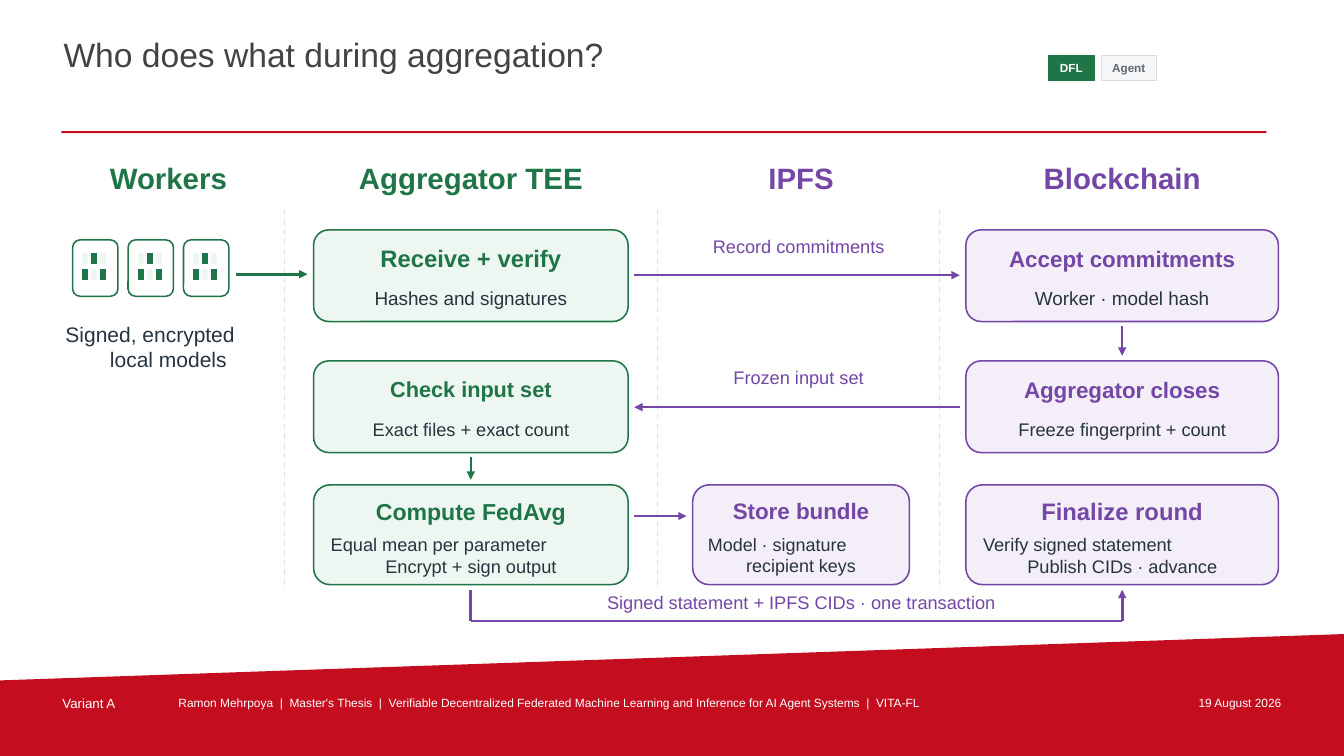
from dataclasses import dataclass

from lxml.etree import SubElement
from pptx import Presentation
from pptx.dml.color import RGBColor as Rgb
from pptx.enum.dml import MSO_LINE as Dash
from pptx.enum.shapes import MSO_CONNECTOR as Wire, MSO_SHAPE as Kind
from pptx.enum.text import MSO_ANCHOR as Anchor, MSO_AUTO_SIZE as Fit, PP_ALIGN as Align
from pptx.oxml.ns import qn
from pptx.util import Inches, Pt


@dataclass(frozen=True)
class Theme:
    """Hold the colours and type sizes of the slide."""
    font: str = "Arial"
    red: str = "C40D1E"
    white: str = "FFFFFF"
    title: str = "434343"
    ink: str = "263440"
    green: str = "207548"
    mint: str = "EDF6F0"
    purple: str = "7446A6"
    lilac: str = "F3EEF8"
    grey: str = "5D6973"
    pale: str = "F5F6F7"
    edge: str = "D7DEE3"
    dash: str = "DCE2E7"
    big: float = 24
    lane: float = 21
    note: float = 15
    label: float = 13
    foot: float = 9.5
    fine: float = 8.5
    tag: float = 8.4


T = Theme()
LANES = {
    "Workers": (0.65, 2.04, T.green, T.mint),
    "Aggregator TEE": (3.11, 3.12, T.green, T.mint),
    "IPFS": (6.87, 2.15, T.purple, T.lilac),
    "Blockchain": (9.58, 3.1, T.purple, T.lilac),
}
ROWS = ((2.28, 0.91), (3.58, 0.91), (4.81, 0.99))
CARDS = (
    ("Aggregator TEE", 0, "Receive + verify", 17, "Hashes and signatures", 13.5),
    ("Blockchain", 0, "Accept commitments", 16, "Worker · model hash", 13.5),
    ("Blockchain", 1, "Aggregator closes", 16, "Freeze fingerprint + count", 13),
    ("Aggregator TEE", 1, "Check input set", 15.5, "Exact files + exact count", 13),
    ("Aggregator TEE", 2, "Compute FedAvg", 16.5,
     "Equal mean per parameter\nEncrypt + sign output", 13),
    ("IPFS", 2, "Store bundle", 16, "Model · signature\nrecipient keys", 12.8),
    ("Blockchain", 2, "Finalize round", 17,
     "Verify signed statement\nPublish CIDs · advance", 13),
)
ARROWS = (
    (2.34, 2.72, 3.05, 2.72, T.green, 2),
    (6.29, 2.73, 9.52, 2.73, T.purple, 1.8),
    (11.13, 3.23, 11.13, 3.53, T.purple, 1.8),
    (9.52, 4.04, 6.29, 4.04, T.purple, 1.8),
    (4.67, 4.53, 4.67, 4.76, T.green, 1.8),
    (6.29, 5.12, 6.81, 5.12, T.purple, 1.8),
    (11.13, 6.16, 11.13, 5.85, T.purple, 2),
)
LABELS = (
    ("Record commitments", (6.52, 2.31, 2.8, 0.27)),
    ("Frozen input set", (6.52, 3.61, 2.8, 0.27)),
    ("Signed statement + IPFS CIDs · one transaction", (5.13, 5.85, 5.63, 0.24)),
)
FOOTER = (
    ("Variant A", (0.6, 6.88, 1, 0.22), T.foot, Align.LEFT),
    ("Ramon Mehrpoya  |  Master's Thesis  |  Verifiable Decentralized Federated "
     "Machine Learning and Inference for AI Agent Systems  |  VITA-FL",
     (1.75, 6.88, 9.35, 0.22), T.fine, Align.LEFT),
    ("19 August 2026", (11.2, 6.88, 1.53, 0.22), T.fine, Align.RIGHT),
)


def write(slide, text, at, *, size, color, bold=False, align=Align.CENTER,
          anchor=Anchor.MIDDLE, pad=0, box=None):
    """Put formatted text in a new text box or in the given one."""
    at = [Inches(v) for v in at]
    if box is None:
        box = slide.shapes.add_textbox(*at)
    else:
        box.left, box.top, box.width, box.height = at
    frame = box.text_frame
    frame.word_wrap = True
    frame.auto_size = Fit.SHAPE_TO_FIT_TEXT
    frame.vertical_anchor = anchor
    frame.margin_left = frame.margin_right = Inches(pad)
    frame.margin_top = frame.margin_bottom = Inches(pad)
    para = frame.paragraphs[0]
    para.alignment = align
    run = para.add_run()
    run.text = text
    run.font.name, run.font.size, run.font.bold = T.font, Pt(size), bold
    run.font.color.rgb = Rgb.from_string(color)


def paint(shape, fill, line=None, width=0.5):
    """Set the fill and outline of a shape."""
    shape.shadow.inherit = False
    shape.fill.solid()
    shape.fill.fore_color.rgb = Rgb.from_string(fill)
    if line is None:
        shape.line.fill.background()
    else:
        shape.line.color.rgb = Rgb.from_string(line)
        shape.line.width = Pt(width)


def block(slide, at, fill, line=None, width=0.5, kind=Kind.RECTANGLE):
    """Draw a preset shape."""
    paint(slide.shapes.add_shape(kind, *(Inches(v) for v in at)), fill, line, width)


def link(slide, ends, color, width, head=False, dash=False):
    """Draw a straight line, with an arrowhead or dashes if asked."""
    wire = slide.shapes.add_connector(Wire.STRAIGHT, *(Inches(v) for v in ends))
    wire.line.color.rgb = Rgb.from_string(color)
    wire.line.width = Pt(width)
    if dash:
        wire.line.dash_style = Dash.DASH
    props = wire.element.spPr
    if head:
        SubElement(props.find(qn("a:ln")), qn("a:tailEnd"), type="triangle")
    SubElement(props, qn("a:effectLst"))


def band(slide):
    """Draw the slanted footer band."""
    pen = slide.shapes.build_freeform(0, Inches(6.75), scale=1.0)
    points = ((13.33, 6.29), (13.33, 7.5), (0, 7.5))
    pen.add_line_segments([(Inches(x), Inches(y)) for x, y in points], close=True)
    paint(pen.convert_to_shape(), T.red)


def tag(slide, text, at, fill, line, color):
    """Draw a small tag with its text."""
    block(slide, at, fill, line, 0.55)
    write(slide, text, at, size=T.tag, color=color, bold=True)


def model(slide, left):
    """Draw a worker's model tile with its chequered cells."""
    block(slide, (left, 2.38, 0.45, 0.56), T.white, T.green, 1.1, Kind.ROUNDED_RECTANGLE)
    for row in range(2):
        for col in range(3):
            fill = T.green if (row + col) % 2 else T.mint
            at = (left + 0.09 * (col + 1), 2.5 + 0.16 * row, 0.07, 0.12)
            block(slide, at, fill, T.white)


def card(slide, lane, row, head, size, body, small):
    """Draw a step card in a lane and row."""
    left, wide, color, fill = LANES[lane]
    top, high = ROWS[row]
    block(slide, (left, top, wide, high), fill, color, 1.1, Kind.ROUNDED_RECTANGLE)
    pad = 0.15 if lane == "IPFS" else 0.17
    spots = ((0.1, 0.32), (0.46, 0.47)) if "\n" in body else ((0.11, 0.34), (0.56, 0.24))
    (up, tall), (down, deep) = spots
    left, wide = left + pad, wide - 2 * pad
    write(slide, head, (left, top + up, wide, tall), size=size, color=color, bold=True)
    write(slide, body, (left, top + down, wide, deep), size=small, color=T.ink)


def main():
    """Build the slide and save it."""
    deck = Presentation()
    deck.slide_width, deck.slide_height = Inches(13.33), Inches(7.5)
    slide = deck.slides.add_slide(deck.slide_layouts[5])
    band(slide)
    write(slide, "Who does what during aggregation?", (0.61, 0.32, 9.65, 0.62),
          size=T.big, color=T.title, align=Align.LEFT, anchor=Anchor.TOP,
          pad=0.02, box=slide.shapes.title)
    block(slide, (0.61, 1.3, 11.95, 0.02), T.red)
    for text, at, size, align in FOOTER:
        write(slide, text, at, size=size, color=T.white, align=align,
              anchor=Anchor.TOP, pad=0.02)
    block(slide, (10.37, 0.52, 1.13, 0.32), T.white, T.white)
    tag(slide, "DFL", (10.4, 0.55, 0.45, 0.25), T.green, T.green, T.white)
    tag(slide, "Agent", (10.92, 0.55, 0.55, 0.25), T.pale, T.edge, T.grey)
    for name, (left, wide, color, _) in LANES.items():
        write(slide, name, (left, 1.57, wide, 0.38), size=T.lane, color=color, bold=True)
    for x in (2.82, 6.52, 9.32):
        link(slide, (x, 2.08, x, 5.82), T.dash, 1, dash=True)
    for step in range(3):
        model(slide, 0.72 + 0.55 * step)
    write(slide, "Signed, encrypted\nlocal models", (0.65, 3.13, 2.04, 0.61),
          size=T.note, color=T.ink)
    for item in CARDS:
        card(slide, *item)
    for *ends, color, width in ARROWS:
        link(slide, ends, color, width, head=True)
    for ends in ((4.67, 5.85, 4.67, 6.16), (4.67, 6.16, 11.13, 6.16)):
        link(slide, ends, T.purple, 2)
    for text, at in LABELS:
        write(slide, text, at, size=T.label, color=T.purple)
    deck.save("out.pptx")


if __name__ == "__main__":
    main()
